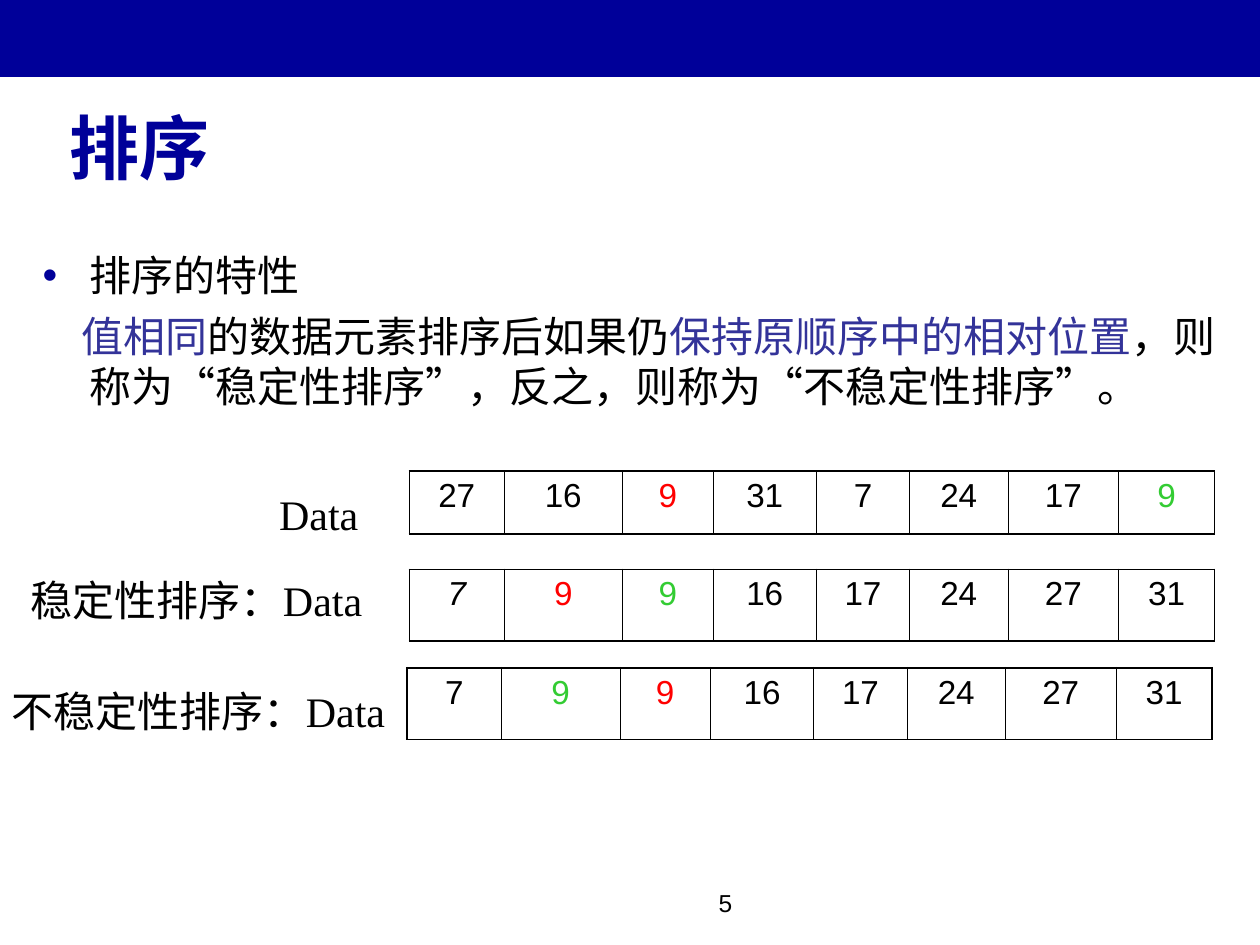
from lxml.etree import SubElement
from pptx import Presentation
from pptx.dml.color import RGBColor
from pptx.enum.shapes import MSO_SHAPE
from pptx.enum.text import MSO_ANCHOR, PP_ALIGN
from pptx.oxml.ns import qn
from pptx.util import Inches, Pt

CJK, SERIF, SANS = "Noto Sans CJK SC", "Times New Roman", "Arial"
NAVY, INDIGO, BLACK, RED, GREEN = "000099", "333399", "000000", "FF0000", "33CC33"
COLUMN_WIDTHS = [0.75, 0.94, 0.72, 0.82, 0.74, 0.78, 0.88, 0.76]
THIN, THICK = 0.45, 1.08


def color(value):
    """Turn a hex string into a colour."""
    return RGBColor.from_string(value)


def add_run(paragraph, text, size, font=CJK, fill=BLACK, bold=False, italic=False):
    """Append one formatted run to a paragraph."""
    run = paragraph.add_run()
    run.text = text
    run.font.size = Pt(size)
    run.font.name = font
    run.font.bold = bold
    run.font.italic = italic
    run.font.color.rgb = color(fill)
    SubElement(run._r.get_or_add_rPr(), qn("a:ea"), typeface=CJK)


def add_text_frame(slide, box):
    """Add a wrapping text box and return its text frame."""
    frame = slide.shapes.add_textbox(*map(Inches, box)).text_frame
    frame.word_wrap = True
    return frame


def set_indent(paragraph, left, first, bullet=None):
    """Set the indents of a paragraph and its bullet, if any."""
    properties = paragraph._p.get_or_add_pPr()
    properties.set("marL", str(Inches(left)))
    properties.set("indent", str(Inches(first)))
    if bullet:
        bullet_color = SubElement(properties, qn("a:buClr"))
        SubElement(bullet_color, qn("a:srgbClr"), val=NAVY)
        SubElement(properties, qn("a:buFont"), typeface=SANS)
        SubElement(properties, qn("a:buChar"), char=bullet)


def add_header(slide, box):
    """Draw the coloured band along the top."""
    band = slide.shapes.add_shape(MSO_SHAPE.RECTANGLE, *map(Inches, box))
    band.shadow.inherit = False
    band.fill.solid()
    band.fill.fore_color.rgb = color(NAVY)
    band.line.fill.background()


def add_title(slide, box):
    """Place and fill the title placeholder."""
    title = slide.shapes.title
    title.left, title.top, title.width, title.height = map(Inches, box)
    title.text_frame.vertical_anchor = MSO_ANCHOR.MIDDLE
    paragraph = title.text_frame.paragraphs[0]
    paragraph.alignment = PP_ALIGN.CENTER
    add_run(paragraph, "排序", 40, fill=NAVY, bold=True)


def add_definition(slide, box):
    """Write the bullet and the definition of stable sorting."""
    frame = add_text_frame(slide, box)
    frame.margin_top = Inches(0.48)
    heading = frame.paragraphs[0]
    set_indent(heading, 0.37, -0.37, "•")
    add_run(heading, "排序的特性", 24)
    definition = frame.add_paragraph()
    definition.space_before = Pt(6)
    set_indent(definition, 0.37, -0.06)
    for text, fill in [
        ("值相同", INDIGO),
        ("的数据元素排序后如果仍", BLACK),
        ("保持原顺序中的相对位置", INDIGO),
        ("，则称为“稳定性排序”，反之，则称为“不稳定性排序”。", BLACK),
    ]:
        add_run(definition, text, 24, fill=fill)


def add_label(slide, box, runs):
    """Write the label to the left of a data row."""
    paragraph = add_text_frame(slide, box).paragraphs[0]
    paragraph.alignment = PP_ALIGN.CENTER
    for text, font in runs:
        add_run(paragraph, text, 24, font)


def set_borders(cell, widths):
    """Give the left, right, top and bottom edges of a cell their widths."""
    properties = cell._tc.get_or_add_tcPr()
    for index, (side, width) in enumerate(zip(("lnL", "lnR", "lnT", "lnB"), widths)):
        line = SubElement(properties, qn(f"a:{side}"), w=str(Pt(width)))
        fill = SubElement(line, qn("a:solidFill"))
        SubElement(fill, qn("a:srgbClr"), val=BLACK)
        properties.remove(line)
        properties.insert(index, line)


def add_data_row(slide, box, entries):
    """Draw one array as a single-row table of (text, colour, italic) entries."""
    table = slide.shapes.add_table(1, len(entries), *map(Inches, box)).table
    table.first_row = table.horz_banding = False
    last = len(entries) - 1
    for index, (text, fill, italic) in enumerate(entries):
        table.columns[index].width = Inches(COLUMN_WIDTHS[index])
        cell = table.cell(0, index)
        cell.fill.background()
        left = THICK if index == 0 else THIN
        right = THICK if index == last else THIN
        set_borders(cell, (left, right, THICK, THICK))
        paragraph = cell.text_frame.paragraphs[0]
        paragraph.alignment = PP_ALIGN.CENTER
        add_run(paragraph, text, 19, SANS, fill, italic=italic)


def add_page_number(slide, box):
    """Write the page number."""
    paragraph = add_text_frame(slide, box).paragraphs[0]
    paragraph.alignment = PP_ALIGN.RIGHT
    add_run(paragraph, "5", 14, SANS)


def plain(*numbers):
    """Make black upright entries."""
    return [(str(number), BLACK, False) for number in numbers]


def main():
    """Build and save the slide."""
    presentation = Presentation()
    presentation.slide_width, presentation.slide_height = Inches(10), Inches(7.5)
    slide = presentation.slides.add_slide(presentation.slide_layouts[5])
    first_nine, second_nine = ("9", RED, False), ("9", GREEN, False)
    sorted_tail = plain(16, 17, 24, 27, 31)

    add_header(slide, (-0.01, 0, 10.01, 0.61))
    add_title(slide, (-2.5, 0.86, 7.22, 0.61))
    add_definition(slide, (0.24, 1.5, 9.76, 2))
    add_page_number(slide, (3.83, 7, 2.08, 0.5))

    add_label(slide, (2.01, 3.83, 1.04, 0.5), [("Data", SERIF)])
    add_label(slide, (0.07, 4.51, 2.98, 0.5), [("稳定性排序", CJK), ("：Data", SERIF)])
    add_label(slide, (-0.2, 5.39, 3.55, 0.5),
              [("不稳定性排序", CJK), ("：", SANS), ("Data", SERIF)])

    add_data_row(slide, (3.25, 3.74, 6.39, 0.5),
                 plain(27, 16) + [first_nine] + plain(31, 7, 24, 17) + [second_nine])
    add_data_row(slide, (3.25, 4.52, 6.39, 0.57),
                 [("7", BLACK, True), first_nine, second_nine] + sorted_tail)
    add_data_row(slide, (3.23, 5.3, 6.39, 0.57),
                 plain(7) + [second_nine, first_nine] + sorted_tail)

    presentation.save("out.pptx")


if __name__ == "__main__":
    main()
